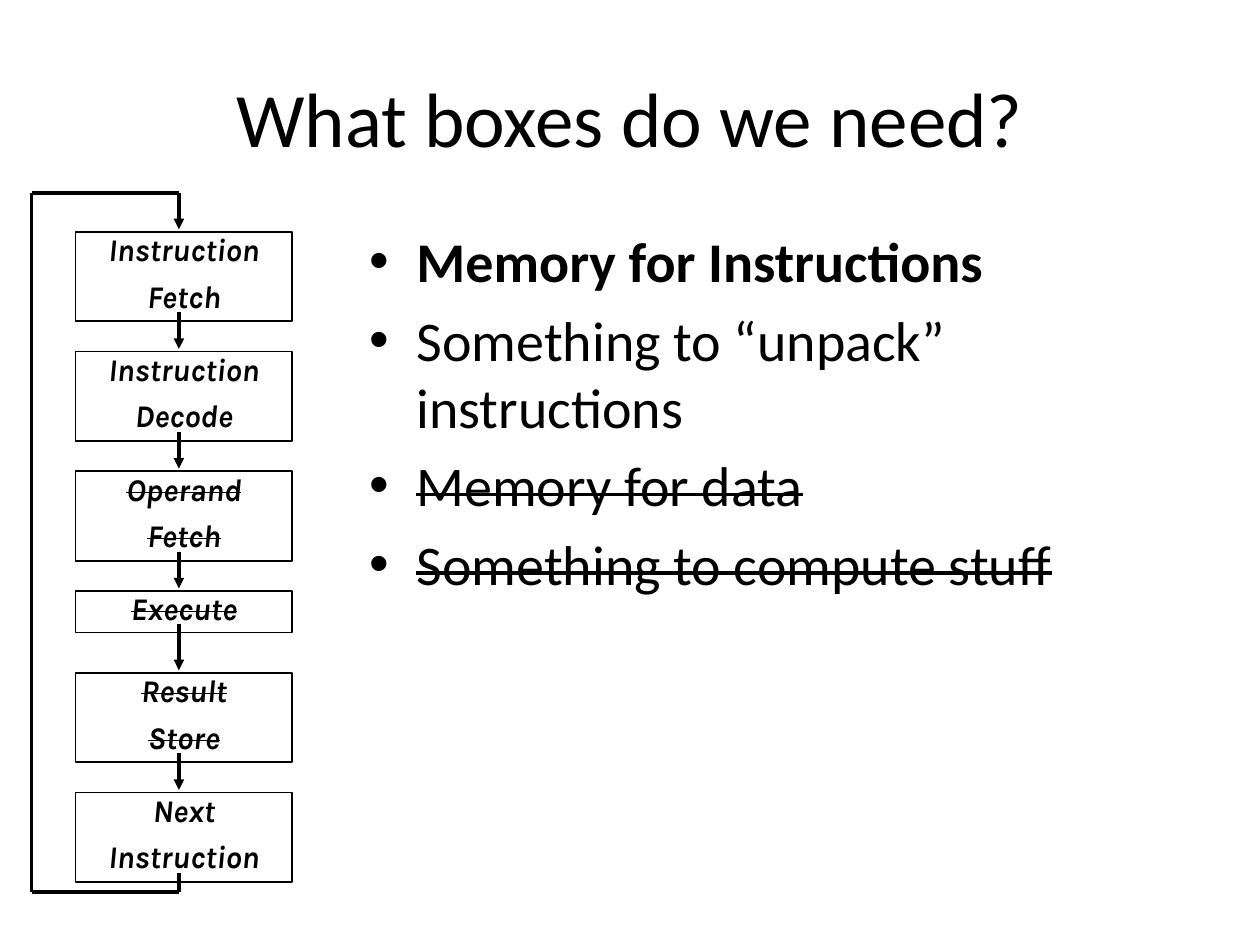
from dataclasses import dataclass
from itertools import pairwise

from lxml.etree import SubElement
from pptx import Presentation
from pptx.dml.color import RGBColor
from pptx.enum.shapes import MSO_CONNECTOR, MSO_SHAPE
from pptx.enum.text import MSO_ANCHOR, PP_ALIGN
from pptx.oxml.ns import qn
from pptx.util import Inches, Pt


@dataclass(frozen=True)
class Theme:
    ink: RGBColor = RGBColor(0, 0, 0)
    text_font: str = "Calibri"
    box_font: str = "Karla"
    title_size: int = 44
    body_size: int = 32
    box_size: int = 18
    box_line: int = 1
    arrow_line: int = 2


THEME = Theme()

# Flowchart column, in inches
BOX_LEFT, BOX_WIDTH = 0.6, 1.72
FIRST_TOP, ROW_PITCH = 1.84, 0.95
TALL, SHORT = 0.71, 0.33
LATE_SHIFT = -0.3  # the rows after the short box move up
FLOW_X, LOOP_X = 1.42, 0.25
LOOP_TOP, LOOP_BOTTOM = 1.53, 7.08
OVERLAP, TIP_GAP = 0.07, 0.02

# Each stage: its lines of text, and whether it is struck out
STAGES = [
    (["Instruction", "Fetch"], False),
    (["Instruction", "Decode"], False),
    (["Operand", "Fetch"], True),
    (["Execute"], True),
    (["Result", "Store"], True),
    (["Next", "Instruction"], False),
]

# Each bullet: text, bold, struck out
BULLETS = [
    ("Memory for Instructions", True, False),
    ("Something to “unpack” instructions", False, False),
    ("Memory for data", False, True),
    ("Something to compute stuff", False, True),
]


def add_text(paragraph, text, font_name, size, bold=False, italic=False, strike=False):
    run = paragraph.add_run()
    run.text = text
    font = run.font
    font.name, font.size = font_name, Pt(size)
    font.bold, font.italic = bold, italic
    font.color.rgb = THEME.ink
    if strike:
        run._r.get_or_add_rPr().set("strike", "sngStrike")


def place(shape, left, top, width, height):
    shape.left, shape.top = Inches(left), Inches(top)
    shape.width, shape.height = Inches(width), Inches(height)


def paragraphs_for(frame, count):
    """Return the first paragraph and as many new ones as are needed."""
    return [frame.paragraphs[0]] + [frame.add_paragraph() for _ in range(count - 1)]


def fill_title(title):
    place(title, 0.5, 0.3, 9, 1.25)
    paragraph = title.text_frame.paragraphs[0]
    paragraph.alignment = PP_ALIGN.CENTER
    add_text(paragraph, "What boxes do we need?", THEME.text_font, THEME.title_size)


def fill_bullets(body):
    place(body, 2.83, 1.75, 6.67, 4.95)
    paragraphs = paragraphs_for(body.text_frame, len(BULLETS))
    for paragraph, (text, bold, strike) in zip(paragraphs, BULLETS):
        add_text(paragraph, text, THEME.text_font, THEME.body_size, bold, strike=strike)


def add_stage(slide, top, height, lines, strike):
    box = slide.shapes.add_shape(
        MSO_SHAPE.RECTANGLE, Inches(BOX_LEFT), Inches(top), Inches(BOX_WIDTH), Inches(height)
    )
    box.shadow.inherit = False
    box.fill.background()
    box.line.color.rgb = THEME.ink
    box.line.width = Pt(THEME.box_line)
    frame = box.text_frame
    frame.word_wrap = True
    frame.vertical_anchor = MSO_ANCHOR.TOP
    frame.margin_left = frame.margin_right = Inches(0.07)
    frame.margin_top = frame.margin_bottom = Inches(0.03)
    for paragraph, text in zip(paragraphs_for(frame, len(lines)), lines):
        paragraph.alignment = PP_ALIGN.CENTER
        paragraph.line_spacing = 0.86
        paragraph.space_before = Pt(8)
        add_text(paragraph, text, THEME.box_font, THEME.box_size, True, True, strike)


def add_line(slide, start, end, arrow=False):
    points = [Inches(value) for value in (*start, *end)]
    connector = slide.shapes.add_connector(MSO_CONNECTOR.STRAIGHT, *points)
    connector.line.color.rgb = THEME.ink
    connector.line.width = Pt(THEME.arrow_line)
    if arrow:
        SubElement(connector.line._get_or_add_ln(), qn("a:tailEnd"), type="triangle")
    SubElement(connector._element.spPr, qn("a:effectLst"))


def add_flowchart(slide):
    # Stages
    spans = []
    for row, (lines, strike) in enumerate(STAGES):
        top = FIRST_TOP + row * ROW_PITCH + (LATE_SHIFT if row > 3 else 0)
        height = TALL if len(lines) > 1 else SHORT
        add_stage(slide, top, height, lines, strike)
        spans.append((top, top + height))

    # Arrows from each stage to the next
    for (_, bottom), (next_top, _) in pairwise(spans):
        add_line(slide, (FLOW_X, bottom - OVERLAP), (FLOW_X, next_top - TIP_GAP), arrow=True)

    # Loop from the last stage back to the first
    corners = [
        (FLOW_X, spans[-1][1] - OVERLAP),
        (FLOW_X, LOOP_BOTTOM),
        (LOOP_X, LOOP_BOTTOM),
        (LOOP_X, LOOP_TOP),
        (FLOW_X, LOOP_TOP),
        (FLOW_X, FIRST_TOP - TIP_GAP),
    ]
    for start, end in pairwise(corners):
        add_line(slide, start, end, arrow=end == corners[-1])


def main():
    presentation = Presentation()
    presentation.slide_width, presentation.slide_height = Inches(10), Inches(7.5)
    slide = presentation.slides.add_slide(presentation.slide_layouts[1])
    fill_title(slide.shapes.title)
    fill_bullets(slide.placeholders[1])
    add_flowchart(slide)
    presentation.save("out.pptx")


if __name__ == "__main__":
    main()
